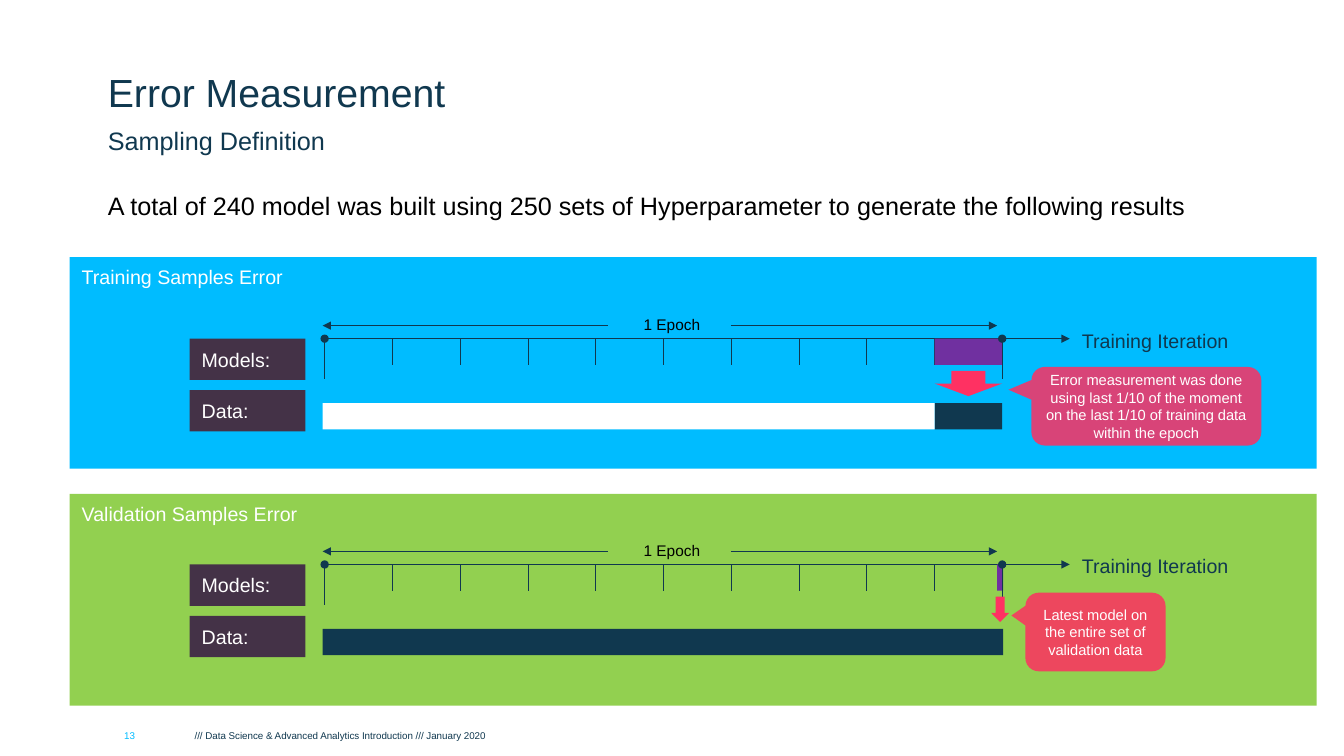
import dataclasses
import typing

import lxml.etree
import pptx
import pptx.dml.color
import pptx.enum.shapes
import pptx.enum.text
import pptx.oxml.ns
import pptx.shapes.autoshape
import pptx.shapes.base
import pptx.shapes.connector
import pptx.text.text
import pptx.util

Inches = pptx.util.Inches
Pt = pptx.util.Pt
qn = pptx.oxml.ns.qn
SHAPE = pptx.enum.shapes.MSO_SHAPE
ANCHOR = pptx.enum.text.MSO_ANCHOR
ALIGN = pptx.enum.text.PP_ALIGN

COLORS = {
    "navy": "10384F", "cyan": "00BCFF", "green": "92D050", "white": "FFFFFF",
    "black": "000000", "purple": "7030A0", "pink": "FF3162",
    "callout": "FE3061", "plum": "443247",
}
FONT = "Arial"
NO_INSETS = (0, 0)
PANEL_INSETS = (0.12, 0.08)
CALLOUT_INSETS = (0.1, 0.05)
AXIS_LEFT, EPOCH_END, AXIS_RIGHT = 3.22, 9.94, 10.61
TICKS = 10
BAR_HEIGHT = 0.26

Box = tuple[float, float, float, float]
Point = tuple[float, float]


@dataclasses.dataclass(frozen=True)
class Segment:
    left: float
    width: float
    color: str


@dataclasses.dataclass(frozen=True)
class SampleBand:
    title: str
    color: str
    top: float
    axis: float
    model: Segment
    arrow: Segment
    data: tuple[Segment, ...]
    note: str
    note_left: float
    note_width: float


BANDS = (
    SampleBand(
        "Validation Samples Error", "green", 4.9, 5.6,
        Segment(9.89, 0.06, "purple"), Segment(9.83, 0.18, "pink"),
        (Segment(3.2, 6.75, "navy"),),
        "Latest model on the entire set of validation data", 10.17, 1.39,
    ),
    SampleBand(
        "Training Samples Error", "cyan", 2.55, 3.36,
        Segment(9.27, 0.67, "purple"), Segment(9.27, 0.67, "pink"),
        (Segment(9.27, 0.67, "navy"), Segment(3.2, 6.07, "white")),
        "Error measurement was done using last 1/10 of the moment "
        "on the last 1/10 of training data within the epoch", 10.23, 2.28,
    ),
)


def rgb(color: str) -> pptx.dml.color.RGBColor:
    return pptx.dml.color.RGBColor.from_string(COLORS[color])


def apply_formats(target: typing.Any, formats: dict[str, typing.Any]) -> None:
    for attribute, value in formats.items():
        setattr(target, attribute, value)


def write(frame: pptx.text.text.TextFrame, text: str, size: float, color: str,
          align: ALIGN = ALIGN.LEFT, anchor: ANCHOR = ANCHOR.TOP,
          insets: Point = NO_INSETS, wrap: bool = True,
          before: float = 0, after: float = 0) -> None:
    side, end = (Inches(inset) for inset in insets)
    apply_formats(frame, {
        "text": text, "word_wrap": wrap, "vertical_anchor": anchor,
        "auto_size": pptx.enum.text.MSO_AUTO_SIZE.NONE,
        "margin_left": side, "margin_right": side,
        "margin_top": end, "margin_bottom": end,
    })
    paragraph = frame.paragraphs[0]
    apply_formats(paragraph, {
        "alignment": align, "space_before": Pt(before), "space_after": Pt(after),
    })
    font = paragraph.runs[0].font
    apply_formats(font, {"name": FONT, "size": Pt(size), "bold": False})
    font.color.rgb = rgb(color)


def place(shape: pptx.shapes.base.BaseShape, box: Box) -> None:
    names = ("left", "top", "width", "height")
    apply_formats(shape, {name: Inches(value) for name, value in zip(names, box)})


def add_filled(shapes: typing.Any, kind: SHAPE, box: Box,
               color: str) -> pptx.shapes.autoshape.Shape:
    shape = shapes.add_shape(kind, *map(Inches, box))
    shape.shadow.inherit = False
    shape.fill.solid()
    shape.fill.fore_color.rgb = rgb(color)
    shape.line.fill.background()
    return shape


def add_label(shapes: typing.Any, box: Box, text: str, size: float, color: str,
              **formats: typing.Any) -> pptx.shapes.autoshape.Shape:
    label = shapes.add_textbox(*map(Inches, box))
    write(label.text_frame, text, size, color, **formats)
    return label


def add_line(shapes: typing.Any, start: Point, end: Point,
             head: str = "", tail: str = "") -> pptx.shapes.connector.Connector:
    """Draw a thin line; head and tail name the ends at start and end."""
    line = shapes.add_connector(pptx.enum.shapes.MSO_CONNECTOR.STRAIGHT,
                                *map(Inches, start + end))
    line.line.color.rgb = rgb("navy")
    line.line.width = Pt(0.5)
    properties = line._element.spPr
    outline = properties.find(qn("a:ln"))
    for tag, ending in (("a:headEnd", head), ("a:tailEnd", tail)):
        if ending:
            lxml.etree.SubElement(outline, qn(tag), type=ending)
    lxml.etree.SubElement(properties, qn("a:effectLst"))
    return line


def add_epoch_span(shapes: typing.Any, axis: float) -> None:
    span = shapes.add_group_shape().shapes
    middle = axis - 0.13
    epoch = add_label(span, (6.03, middle - 0.1, 1.27, 0.2), "1 Epoch", 11,
                      "black", align=ALIGN.CENTER, wrap=False)
    to_start = add_line(span, (6.03, middle), (3.2, middle), tail="triangle")
    to_start.begin_connect(epoch, 1)
    add_line(span, (7.25, middle), (9.89, middle), tail="triangle")


def add_callout(shapes: typing.Any, band: SampleBand) -> None:
    box = (band.note_left, band.axis + 0.28 - 0.04 * 0, band.note_width, 0.78)
    callout = add_filled(shapes, SHAPE.ROUNDED_RECTANGULAR_CALLOUT, box, "callout")
    for index, value in enumerate((-0.6, -0.21, 0.17)):
        callout.adjustments[index] = value
    fill_color = callout._element.spPr.find(qn("a:solidFill"))[0]
    lxml.etree.SubElement(fill_color, qn("a:alpha"), val="85000")
    write(callout.text_frame, band.note, 10.5, "white", align=ALIGN.CENTER,
          anchor=ANCHOR.MIDDLE, insets=CALLOUT_INSETS)


def add_band(shapes: typing.Any, band: SampleBand) -> None:
    axis = band.axis
    panel = add_filled(shapes, SHAPE.RECTANGLE, (0.69, band.top, 12.37, 2.1), band.color)
    write(panel.text_frame, band.title, 14, "white", insets=PANEL_INSETS, before=12)

    add_line(shapes, (AXIS_LEFT, axis), (AXIS_RIGHT, axis), tail="triangle")
    add_epoch_span(shapes, axis)
    step = (EPOCH_END - AXIS_LEFT) / TICKS
    for tick in range(1, TICKS):
        x = AXIS_LEFT + tick * step
        add_line(shapes, (x, axis), (x, axis + BAR_HEIGHT))

    for segment, offset in [(band.model, 0)] + [(part, 0.64) for part in band.data]:
        add_filled(shapes, SHAPE.RECTANGLE,
                   (segment.left, axis + offset, segment.width, BAR_HEIGHT), segment.color)
    for x in (AXIS_LEFT, EPOCH_END):
        add_line(shapes, (x, axis), (x, axis + 0.4), head="oval")
    add_label(shapes, (10.73, axis - 0.1, 1.08, 0.2), "Training Iteration", 14,
              "navy", wrap=False)
    add_callout(shapes, band)
    add_filled(shapes, SHAPE.DOWN_ARROW,
               (band.arrow.left, axis + 0.32, band.arrow.width, 0.25), band.arrow.color)
    for row, name in enumerate(("Models:", "Data:")):
        tag = add_filled(shapes, SHAPE.RECTANGLE,
                         (1.88, axis + row * 0.51, 1.15, 0.41), "plum")
        write(tag.text_frame, name, 14, "white", anchor=ANCHOR.MIDDLE,
              insets=PANEL_INSETS, before=12)


def main() -> None:
    deck = pptx.Presentation()
    deck.slide_width, deck.slide_height = Inches(13.33), Inches(7.5)
    slide = deck.slides.add_slide(deck.slide_layouts.get_by_name("Comparison"))
    title, subtitle, left_list, summary, right_list = slide.placeholders
    for unused in (left_list, right_list):
        unused._element.getparent().remove(unused._element)

    place(title, (1.07, 0.2, 11.81, 0.94))
    write(title.text_frame, "Error Measurement", 28, "navy", anchor=ANCHOR.BOTTOM)
    place(subtitle, (1.07, 1.24, 11.81, 0.28))
    write(subtitle.text_frame, "Sampling Definition", 18, "navy", before=12, after=6)
    place(summary, (1.07, 1.89, 11.81, 0.5))
    write(summary.text_frame, "A total of 240 model was built using 250 sets of "
          "Hyperparameter to generate the following results", 18, "black",
          before=12, after=6)

    add_label(slide.shapes, (1.93, 7.24, 9.45, 0.12),
              "/// Data Science & Advanced Analytics Introduction /// January 2020",
              7, "navy")
    add_label(slide.shapes, (1.07, 7.24, 0.43, 0.12), "13", 7, "cyan", align=ALIGN.CENTER)
    for band in BANDS:
        add_band(slide.shapes, band)
    deck.save("out.pptx")


if __name__ == "__main__":
    main()
